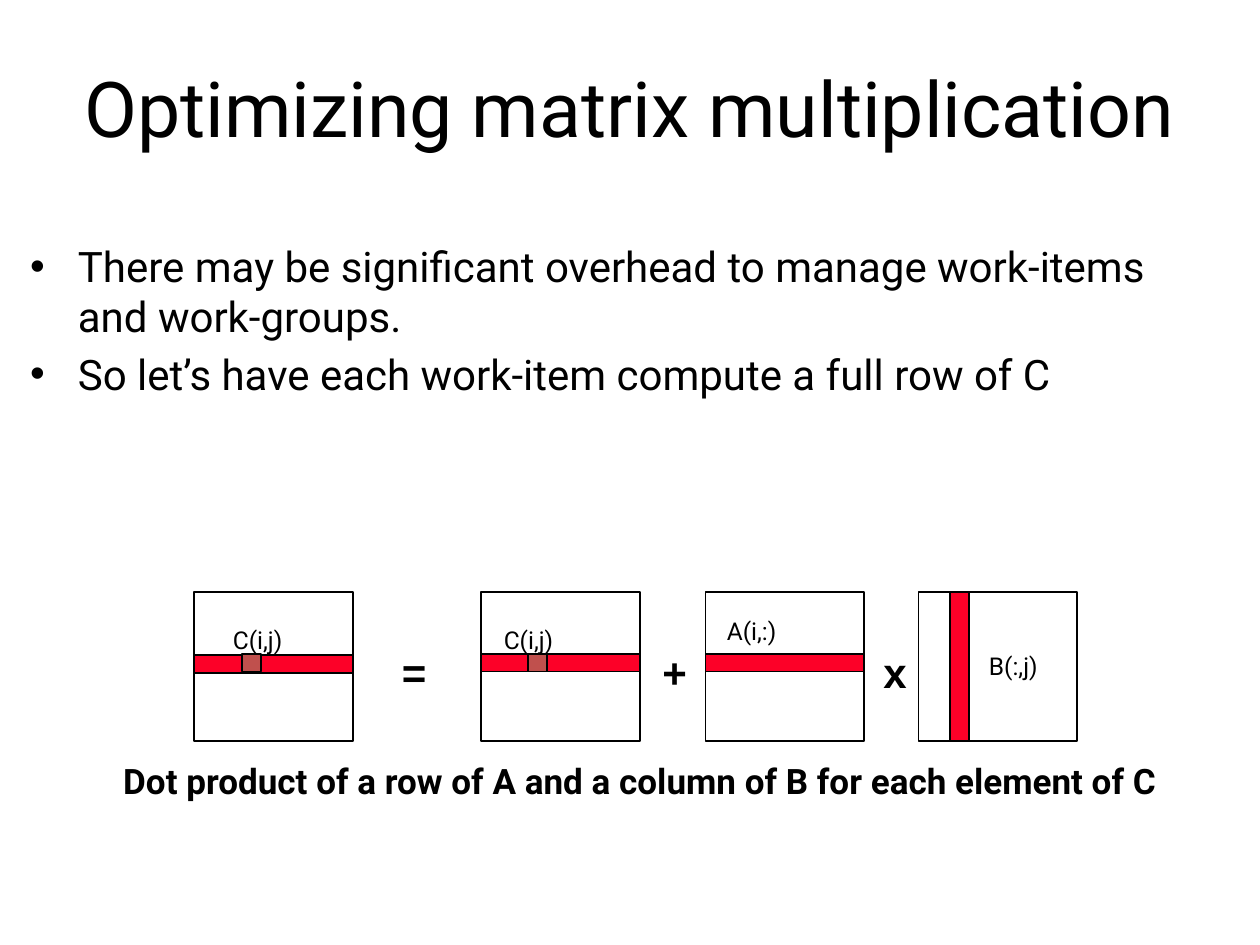
"""Build the slide on optimizing matrix multiplication."""
from dataclasses import dataclass
from typing import Optional

from lxml import etree
from pptx import Presentation
from pptx.dml.color import RGBColor
from pptx.enum.shapes import MSO_SHAPE
from pptx.enum.text import MSO_ANCHOR, PP_ALIGN
from pptx.oxml.ns import qn
from pptx.util import Inches, Pt

RECT = MSO_SHAPE.RECTANGLE
LEFT, CENTER = PP_ALIGN.LEFT, PP_ALIGN.CENTER
TOP, MIDDLE = MSO_ANCHOR.TOP, MSO_ANCHOR.MIDDLE


@dataclass(frozen=True)
class Theme:
    ink: RGBColor = RGBColor(0x00, 0x00, 0x00)
    strip: RGBColor = RGBColor(0xFC, 0x01, 0x28)
    element: RGBColor = RGBColor(0xC0, 0x50, 0x4D)
    font: str = "Roboto"
    operator_font: str = "Arial"
    title: int = 44
    body: int = 24
    caption: int = 20
    label: int = 14


@dataclass(frozen=True)
class Matrix:
    left: float
    label: str
    label_dx: float
    label_top: float
    row_top: Optional[float] = None
    column_dx: Optional[float] = None
    element_dx: Optional[float] = None


@dataclass(frozen=True)
class Operator:
    left: float
    width: float
    sign: str


THEME = Theme()
MATRIX_TOP, MATRIX_W, MATRIX_H = 4.7, 1.26, 1.18
STRIP_H, STRIP_W, ELEMENT_TOP = 0.14, 0.15, 5.19
INDENT = 0.38

MATRICES = (
    Matrix(1.54, "C(i,j)", 0.21, 4.91, row_top=5.2, element_dx=0.38),
    Matrix(3.82, "C(i,j)", 0.08, 4.91, row_top=5.19, element_dx=0.37),
    Matrix(5.6, "A(i,:)", 0.07, 4.84, row_top=5.19),
    Matrix(7.29, "B(:,j)", 0.46, 5.12, column_dx=0.25),
)
OPERATORS = (
    Operator(3.09, 0.59, "="),
    Operator(5.16, 0.3, "+"),
    Operator(6.93, 0.18, "x"),
)
BULLETS = (
    "There may be significant overhead to manage work-items and work-groups.",
    "So let’s have each work-item compute a full row of C",
)


def add_bullet(p) -> None:
    pPr = p._p.get_or_add_pPr()
    pPr.set("marL", str(Inches(INDENT)))
    pPr.set("indent", str(-Inches(INDENT)))
    etree.SubElement(pPr, qn("a:buFont")).set("typeface", "Arial")
    etree.SubElement(pPr, qn("a:buChar")).set("char", "•")


def add_text(s, x: float, y: float, w: float, h: float, *lines: str,
             size: int, font: str = THEME.font, bold: bool = False,
             align=LEFT, anchor=TOP, bullets: bool = False,
             gap: float = 0, spacing: Optional[float] = None) -> None:
    tf = s.shapes.add_textbox(Inches(x), Inches(y), Inches(w), Inches(h)).text_frame
    tf.word_wrap = True
    tf.vertical_anchor = anchor
    for i, line in enumerate(lines):
        p = tf.add_paragraph() if i else tf.paragraphs[0]
        if bullets:
            add_bullet(p)
        p.alignment = align
        if i:
            p.space_before = Pt(gap)
        if spacing:
            p.line_spacing = spacing
        r = p.add_run()
        r.text = line
        r.font.name, r.font.size, r.font.bold = font, Pt(size), bold
        r.font.color.rgb = THEME.ink


def add_box(s, x: float, y: float, w: float, h: float,
            fill: Optional[RGBColor] = None) -> None:
    sp = s.shapes.add_shape(RECT, Inches(x), Inches(y), Inches(w), Inches(h))
    sp.shadow.inherit = False
    if fill is None:
        sp.fill.background()
    else:
        sp.fill.solid()
        sp.fill.fore_color.rgb = fill
    sp.line.color.rgb = THEME.ink
    sp.line.width = Pt(1)


def add_matrix(s, m: Matrix) -> None:
    add_box(s, m.left, MATRIX_TOP, MATRIX_W, MATRIX_H)
    if m.row_top is not None:
        add_box(s, m.left, m.row_top, MATRIX_W, STRIP_H, THEME.strip)
    if m.column_dx is not None:
        add_box(s, m.left + m.column_dx, MATRIX_TOP, STRIP_W, MATRIX_H, THEME.strip)
    if m.element_dx is not None:
        add_box(s, m.left + m.element_dx, ELEMENT_TOP, STRIP_W, STRIP_H, THEME.element)
    add_text(s, m.left + m.label_dx, m.label_top, 0.74, 0.34, m.label, size=THEME.label)


def main() -> None:
    prs = Presentation()
    prs.slide_width, prs.slide_height = Inches(10), Inches(7.5)
    s = prs.slides.add_slide(prs.slide_layouts[6])
    add_text(s, 0.12, 0.22, 9.76, 1.25, "Optimizing matrix multiplication",
             size=THEME.title, align=CENTER, anchor=MIDDLE)
    add_text(s, 0.14, 1.86, 9.61, 2.36, *BULLETS, size=THEME.body, bullets=True, gap=4)
    for m in MATRICES:
        add_matrix(s, m)
    for op in OPERATORS:
        add_text(s, op.left, 5.08, op.width, 0.5, op.sign,
                 size=THEME.body, font=THEME.operator_font, bold=True)
    add_text(s, 0.67, 5.99, 8.82, 0.43,
             "Dot product of a row of A and a column of B for each element of C",
             size=THEME.caption, bold=True, align=CENTER, spacing=0.99)
    prs.save("out.pptx")


if __name__ == "__main__":
    main()
